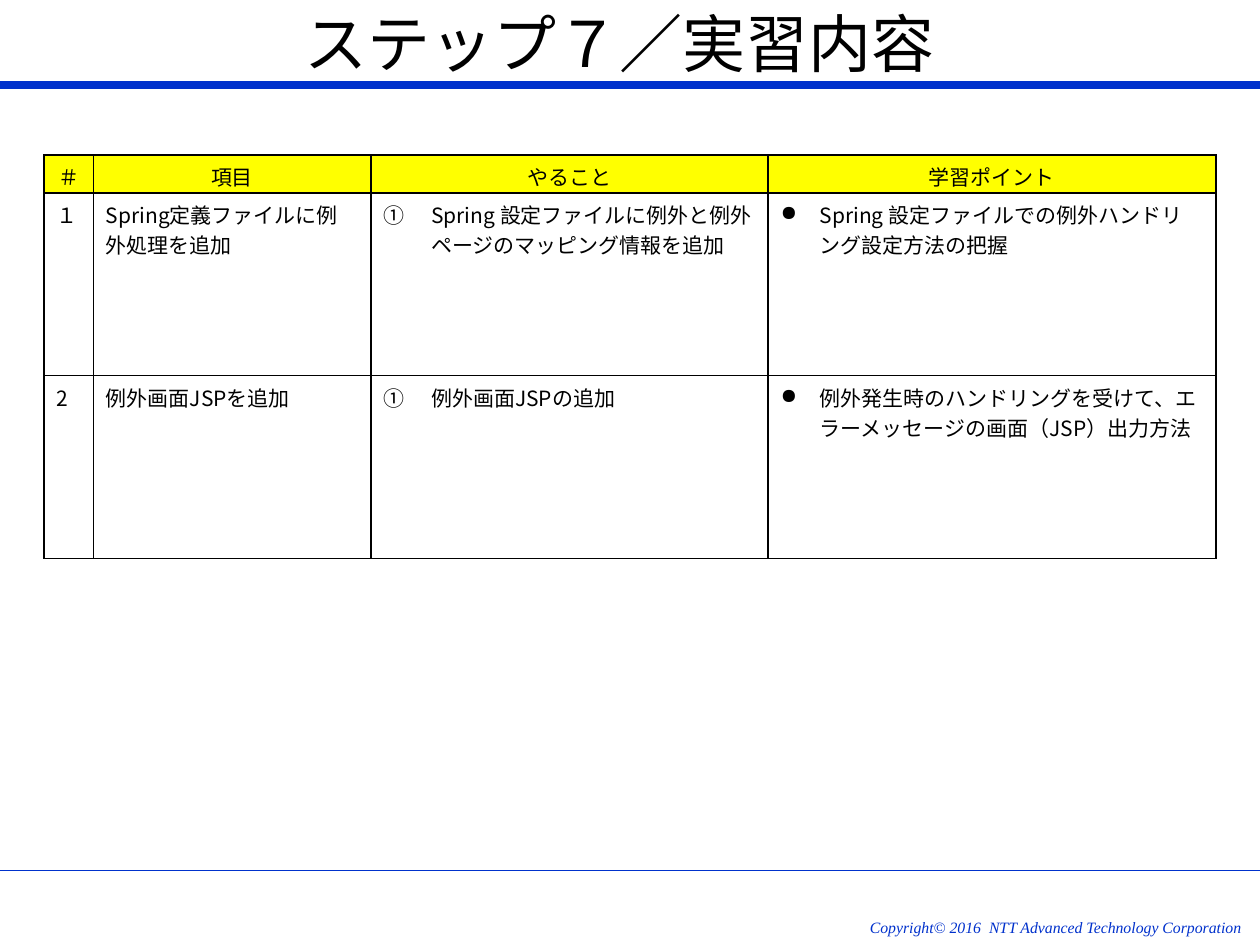
from collections import namedtuple
from dataclasses import dataclass

from lxml import etree
from pptx import Presentation
from pptx import util as u
from pptx.dml.color import RGBColor
from pptx.enum import shapes, text
from pptx.oxml.ns import qn

Box = namedtuple("Box", "left top width height")
Bullet = namedtuple("Bullet", "tag attribute value indent")


@dataclass(frozen=True)
class Theme:
    ink: RGBColor = RGBColor(0, 0, 0)
    accent: RGBColor = RGBColor(0x00, 0x31, 0xCC)
    header: RGBColor = RGBColor(0xFF, 0xFF, 0x00)
    body_font: str = "Noto Sans CJK JP"
    footer_font: str = "Times New Roman"
    title_size: float = 36
    body_size: float = 12
    footer_size: float = 9
    title_rule: float = 4.5
    footer_rule: float = 0.75
    border: float = 1


THEME = Theme()
WIDTH, HEIGHT = u.Inches(10), u.Inches(7.5)
COLUMN_WEIGHTS = (0.39, 2.2, 3.15, 3.55)
ROW_WEIGHTS = (0.3, 1.45, 1.45)
HEADINGS = ("＃", "項目", "やること", "学習ポイント")
EXERCISES = (
    ("１", "Spring定義ファイルに例外処理を追加",
     "Spring 設定ファイルに例外と例外ページのマッピング情報を追加",
     "Spring 設定ファイルでの例外ハンドリング設定方法の把握"),
    ("2", "例外画面JSPを追加", "例外画面JSPの追加",
     "例外発生時のハンドリングを受けて、エラーメッセージの画面（JSP）出力方法"),
)
COLUMN_BULLETS = (
    None,
    None,
    Bullet("a:buAutoNum", "type", "circleNumDbPlain", u.Inches(0.38)),
    Bullet("a:buChar", "char", "●", u.Inches(0.31)),
)


def region(left, top, width, height):
    """Box from shares of the slide's width and height."""
    return Box(round(WIDTH * left), round(HEIGHT * top),
               round(WIDTH * width), round(HEIGHT * height))


def style(paragraph, size, font, color, align=None, italic=None):
    paragraph.alignment = align
    for run in paragraph.runs:
        run.font.size = u.Pt(size)
        run.font.name = font
        run.font.italic = italic
        run.font.color.rgb = color
        east_asian = etree.SubElement(run.font._element, qn("a:ea"))
        east_asian.set("typeface", font)


def add_bullet(paragraph, bullet):
    properties = paragraph._p.get_or_add_pPr()
    properties.set("marL", str(bullet.indent))
    properties.set("indent", str(-bullet.indent))
    mark = etree.SubElement(properties, qn(bullet.tag))
    mark.set(bullet.attribute, bullet.value)


def add_borders(cell):
    properties = cell._tc.get_or_add_tcPr()
    for side in ("a:lnL", "a:lnR", "a:lnT", "a:lnB"):
        line = etree.SubElement(properties, qn(side), w=str(u.Pt(THEME.border)))
        fill = etree.SubElement(line, qn("a:solidFill"))
        etree.SubElement(fill, qn("a:srgbClr"), val=str(THEME.ink))


def add_rule(slide, box, weight):
    """Horizontal line along the bottom of the box."""
    y = box.top + box.height
    rule = slide.shapes.add_connector(
        shapes.MSO_CONNECTOR.STRAIGHT, box.left, y, box.left + box.width, y)
    rule.line.color.rgb = THEME.accent
    rule.line.width = u.Pt(weight)
    etree.SubElement(rule._element.spPr, qn("a:effectLst"))


def add_title(slide, box):
    add_rule(slide, box, THEME.title_rule)
    margin = round(box.width * 0.075)
    title = slide.shapes.add_textbox(
        margin, box.top, round(box.width * 0.833), box.height)
    frame = title.text_frame
    frame.word_wrap = True
    frame.vertical_anchor = text.MSO_ANCHOR.MIDDLE
    frame.text = "ステップ７／実習内容"
    style(frame.paragraphs[0], THEME.title_size, THEME.body_font, THEME.ink,
          text.PP_ALIGN.CENTER)


def add_exercises(slide, box):
    rows = (HEADINGS, *EXERCISES)
    table = slide.shapes.add_table(len(rows), len(HEADINGS), *box).table
    for column, weight in zip(table.columns, COLUMN_WEIGHTS):
        column.width = round(box.width * weight / sum(COLUMN_WEIGHTS))
    for row, weight in zip(table.rows, ROW_WEIGHTS):
        row.height = round(box.height * weight / sum(ROW_WEIGHTS))

    for r, entries in enumerate(rows):
        for c, (entry, bullet) in enumerate(zip(entries, COLUMN_BULLETS)):
            cell = table.cell(r, c)
            is_heading = r == 0
            add_borders(cell)
            if is_heading:
                cell.fill.solid()
                cell.fill.fore_color.rgb = THEME.header
            else:
                cell.fill.background()
            cell.text_frame.text = entry
            paragraph = cell.text_frame.paragraphs[0]
            if bullet and not is_heading:
                add_bullet(paragraph, bullet)
            style(paragraph, THEME.body_size, THEME.body_font, THEME.ink,
                  text.PP_ALIGN.CENTER if is_heading else None)


def add_footer(slide, box):
    add_rule(slide, Box(box.left, box.top, box.width, 0), THEME.footer_rule)
    copyright_line = slide.shapes.add_textbox(
        round(box.width * 0.686), box.top + round(box.height * 0.64),
        round(box.width * 0.299), round(box.height * 0.25))
    frame = copyright_line.text_frame
    frame.margin_left = frame.margin_right = 0
    frame.margin_top = frame.margin_bottom = 0
    frame.word_wrap = False
    frame.text = "Copyright© 2016  NTT Advanced Technology Corporation"
    style(frame.paragraphs[0], THEME.footer_size, THEME.footer_font,
          THEME.accent, text.PP_ALIGN.RIGHT, italic=True)


def main():
    deck = Presentation()
    deck.slide_width, deck.slide_height = WIDTH, HEIGHT
    slide = deck.slides.add_slide(deck.slide_layouts[6])
    add_title(slide, region(0, 0, 1, 0.09))
    add_exercises(slide, region(0.035, 0.164, 0.93, 0.427))
    add_footer(slide, region(0, 0.921, 1, 0.079))
    deck.save("out.pptx")


if __name__ == "__main__":
    main()
